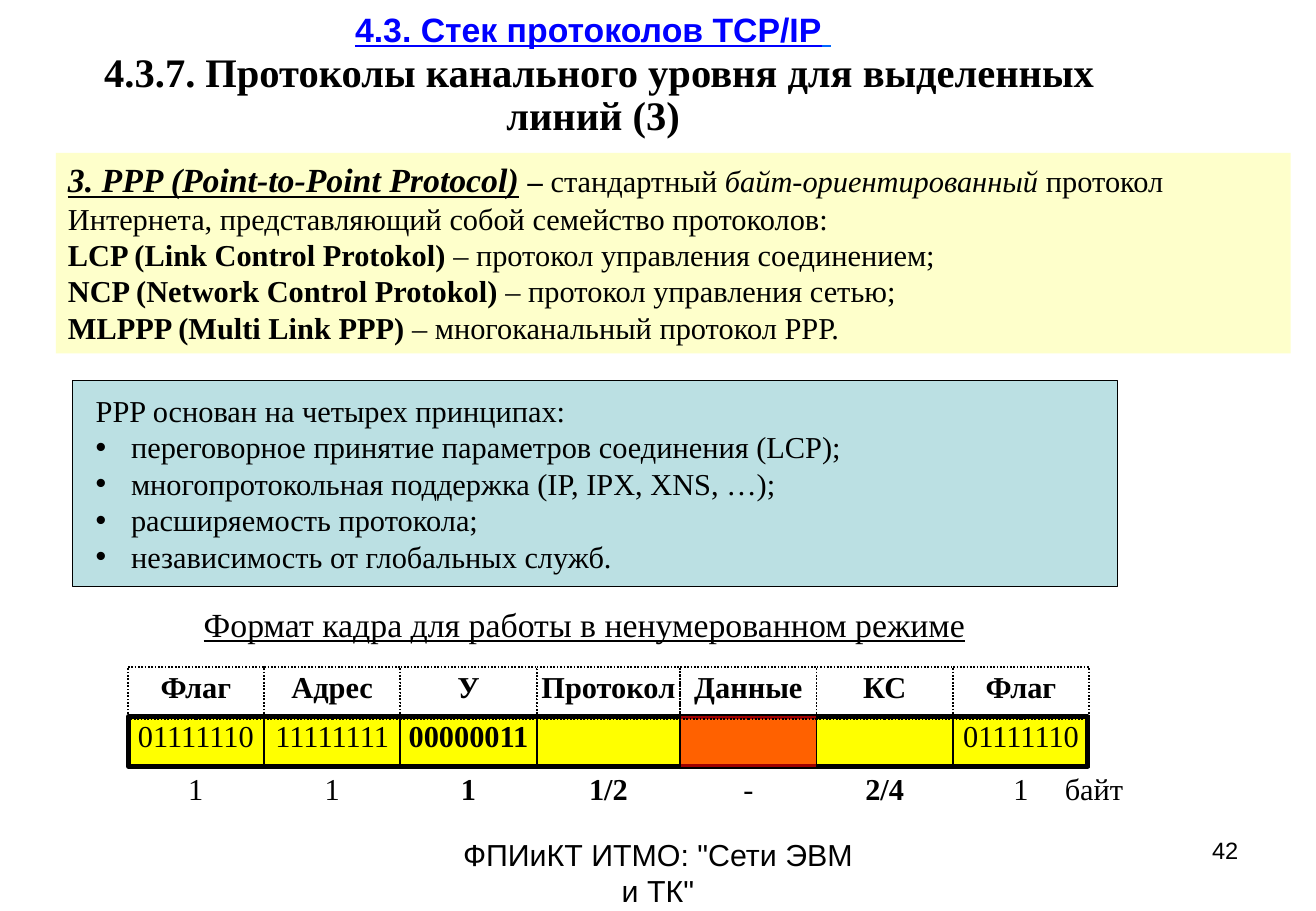
from itertools import accumulate

from lxml.etree import SubElement
from pptx import Presentation
from pptx.dml.color import RGBColor
from pptx.enum.dml import MSO_LINE
from pptx.enum.shapes import MSO_SHAPE
from pptx.enum.text import MSO_ANCHOR, MSO_AUTO_SIZE, PP_ALIGN
from pptx.oxml.ns import qn
from pptx.util import Cm, Pt

BLACK = RGBColor(0x00, 0x00, 0x00)
BLUE = RGBColor(0x00, 0x00, 0xFF)
AZURE = RGBColor(0x00, 0x66, 0xFF)
TEAL = RGBColor(0xBB, 0xE0, 0xE3)
CREAM = RGBColor(0xFE, 0xFF, 0xCB)
YELLOW = RGBColor(0xFF, 0xFF, 0x00)
RED = RGBColor(0xFF, 0x00, 0x00)
SERIF, SANS = "Times New Roman", "Arial"
PAD = (0.25, 0.13, 0.25, 0.13)
TIGHT = (0.05, 0.03, 0.05, 0.03)


def write(para, text, size=18, face=SERIF, color=BLACK, bold=False, italic=False, under=False):
    run = para.add_run()
    run.text = text
    font = run.font
    font.size, font.name = Pt(size), face
    font.bold, font.italic, font.underline = bold, italic, under
    font.color.rgb = color


class Page:
    def __init__(self, wide, high):
        self.deck = Presentation()
        self.deck.slide_width, self.deck.slide_height = Cm(wide), Cm(high)
        self.slide = self.deck.slides.add_slide(self.deck.slide_layouts[1])

    def place(self, shape, area):
        shape.left, shape.top, shape.width, shape.height = map(Cm, area)

    def frame(self, shape, pad=PAD, anchor=MSO_ANCHOR.TOP):
        frame = shape.text_frame
        frame.word_wrap, frame.auto_size = True, MSO_AUTO_SIZE.NONE
        frame.vertical_anchor = anchor
        (frame.margin_left, frame.margin_top,
         frame.margin_right, frame.margin_bottom) = map(Cm, pad)
        return frame

    def paint(self, shape, fill=None, line=None, dash=None):
        if fill is None:
            shape.fill.background()
        else:
            shape.fill.solid()
            shape.fill.fore_color.rgb = fill
        if line is None:
            shape.line.fill.background()
        else:
            shape.line.color.rgb = BLACK
            shape.line.width = Pt(line)
            if dash:
                shape.line.dash_style = dash

    def title(self, area):
        shape = self.slide.shapes.title
        self.place(shape, area)
        para = self.frame(shape, anchor=MSO_ANCHOR.MIDDLE).paragraphs[0]
        para.alignment, para.line_spacing = PP_ALIGN.CENTER, 0.85
        return para

    def list(self, area, head, items):
        shape = self.slide.placeholders[1]
        self.place(shape, area)
        self.paint(shape, TEAL, 0.75)
        frame = self.frame(shape, (0.48, 0.25, 0.25, 0.13))
        for num, item in enumerate([head, *items]):
            para = frame.paragraphs[0] if num == 0 else frame.add_paragraph()
            para.space_before = Pt(0)
            props = para._p.get_or_add_pPr()
            gap = Cm(0.74) if num else 0
            props.set("marL", str(gap))
            props.set("indent", str(-gap))
            if num:
                SubElement(props, qn("a:buChar")).set("char", "•")
            else:
                SubElement(props, qn("a:buNone"))
            write(para, item)

    def box(self, area, fill=None, line=None, dash=None):
        shape = self.slide.shapes.add_shape(MSO_SHAPE.RECTANGLE, *map(Cm, area))
        shape.shadow.inherit = False
        self.paint(shape, fill, line, dash)
        return shape

    def label(self, area, text, align=PP_ALIGN.CENTER, pad=TIGHT, shape=None, **form):
        shape = shape or self.slide.shapes.add_textbox(*map(Cm, area))
        para = self.frame(shape, pad).paragraphs[0]
        para.alignment = align
        write(para, text, **form)

    def rich(self, shape, lines):
        frame = self.frame(shape)
        for num, runs in enumerate(lines):
            para = frame.paragraphs[0] if num == 0 else frame.add_paragraph()
            para.alignment = PP_ALIGN.LEFT
            for text, form in runs:
                write(para, text, **form)


def main():
    page = Page(27.51, 19.05)

    # Footer and page number
    page.label((9.4, 17.35, 8.71, 1.32), 'ФПИиКТ ИТМО: "Сети ЭВМ и ТК"', pad=PAD, face=SANS)
    page.label((19.71, 17.35, 6.43, 1.32), "42", PP_ALIGN.RIGHT, PAD, size=14, face=SANS)

    # Title
    head = page.title((0.79, 0.15, 23.22, 2.9))
    write(head, "4.3. Стек протоколов TCP/IP", size=20, face=SANS, color=BLUE, bold=True, under=True)
    write(head, " ", size=20, face=SANS, color=AZURE, bold=True, under=True)
    head.add_line_break()
    write(head, " ", size=28, bold=True)
    write(head, "4.3.7. Протоколы канального уровня для выделенных линий (3)", size=24, bold=True)

    # Protocol family
    bold = {"bold": True}
    page.rich(page.box((1.17, 3.2, 25.81, 4.19), CREAM), [
        [("3. PPP (Point-to-Point Protocol)", dict(size=20, bold=True, italic=True, under=True)),
         (" ", dict(size=20, bold=True, italic=True)),
         ("– ", dict(bold=True, italic=True)),
         ("стандартный ", {}),
         ("байт-ориентированный ", dict(italic=True)),
         ("протокол Интернета, представляющий собой семейство протоколов:", {})],
        [("LCP (Link Control Protokol) ", bold), ("– протокол управления соединением;", {})],
        [("NCP (Network Control Protokol)", bold), (" – протокол управления сетью;", {})],
        [("MLРРP (Multi Link PPP) ", bold), ("– многоканальный протокол РРР.", {})],
    ])

    # Principles
    page.list((1.52, 7.95, 21.84, 4.32), "PPP основан на четырех принципах:", [
        "переговорное принятие параметров соединения (LCP);",
        "многопротокольная поддержка (IP, IPX, XNS, …);",
        "расширяемость протокола;",
        "независимость от глобальных служб.",
    ])

    # Frame format: name, bits, bytes, bold bits, bold bytes
    page.label((4.01, 12.5, 17.17, 1.12), "Формат кадра для работы в ненумерованном режиме",
               PP_ALIGN.LEFT, PAD, size=20, under=True)
    page.box((2.69, 14.99, 20.04, 1.04), YELLOW, 3)
    fields = [
        ("Флаг", "01111110", "1", False, False),
        ("Адрес", "11111111", "1", False, False),
        ("У", "00000011", "1", True, True),
        ("Протокол", "", "1/2", False, True),
        ("Данные", "", "-", False, False),
        ("КС", "", "2/4", False, True),
        ("Флаг", "01111110", "1", False, False),
    ]
    widths = [2.85, 2.85, 2.85, 3, 2.85, 2.85, 2.85]
    lefts = accumulate(widths, initial=2.67)
    for (name, bits, count, strong, heavy), left, wide in zip(fields, lefts, widths):
        top, mid, low = ((left, y, wide, 1.09) for y in (13.95, 14.96, 16.07))
        cell = page.box(mid, RED if name == "Данные" else None, 1)
        if name == "Данные":
            tint = cell.fill._xPr.find(qn("a:solidFill"))[0]
            SubElement(tint, qn("a:alpha")).set("val", "62000")
        if bits:
            page.label(mid, bits, shape=cell, bold=strong)
        pad = (0, 0.03, 0, 0.03) if name == "Протокол" else TIGHT
        page.label(top, name, pad=pad, shape=page.box(top, None, 1, MSO_LINE.ROUND_DOT), bold=True)
        page.label(low, count, bold=heavy)
    page.label((22.12, 16.07, 1.5, 1.09), "байт")

    page.deck.save("out.pptx")


if __name__ == "__main__":
    main()
